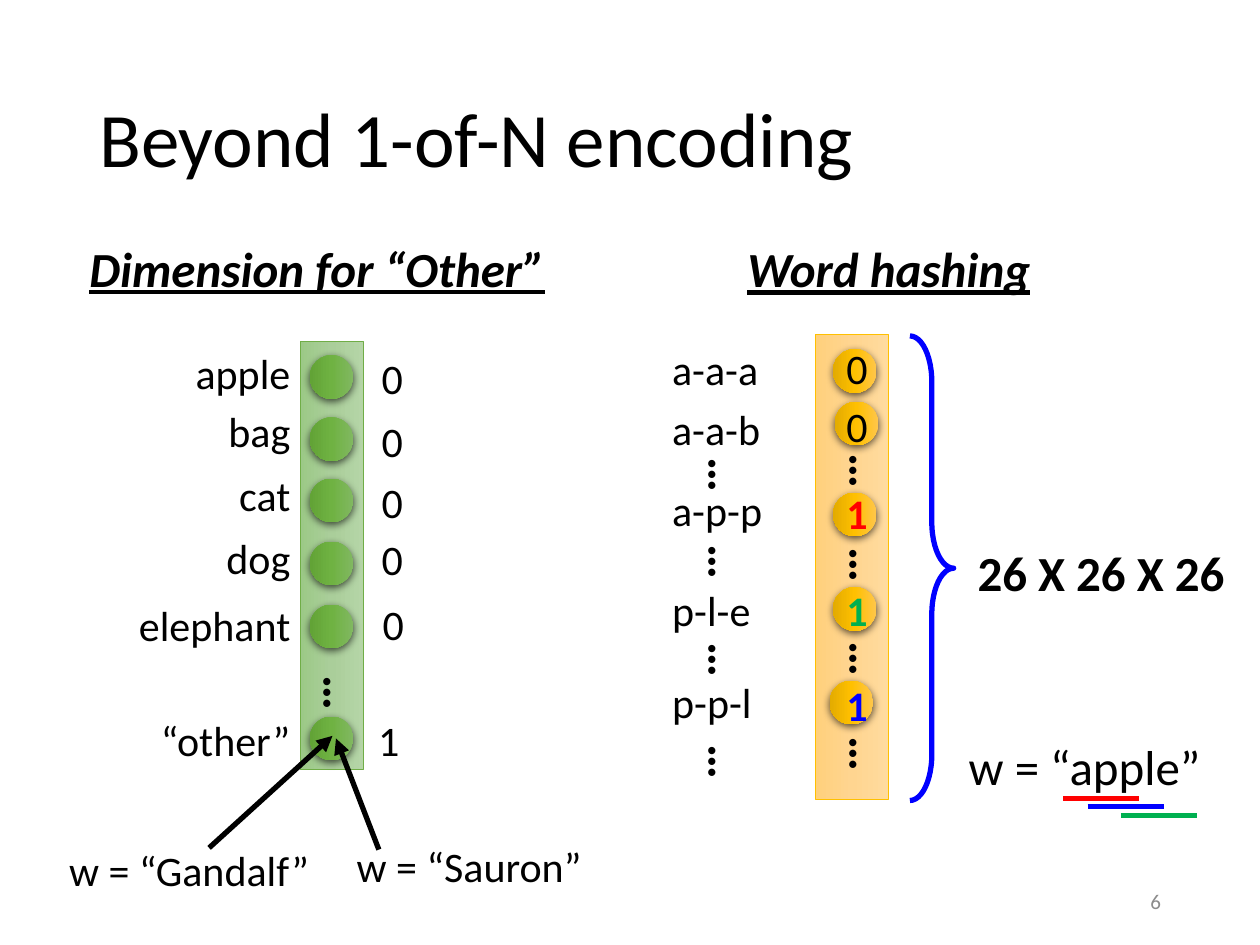
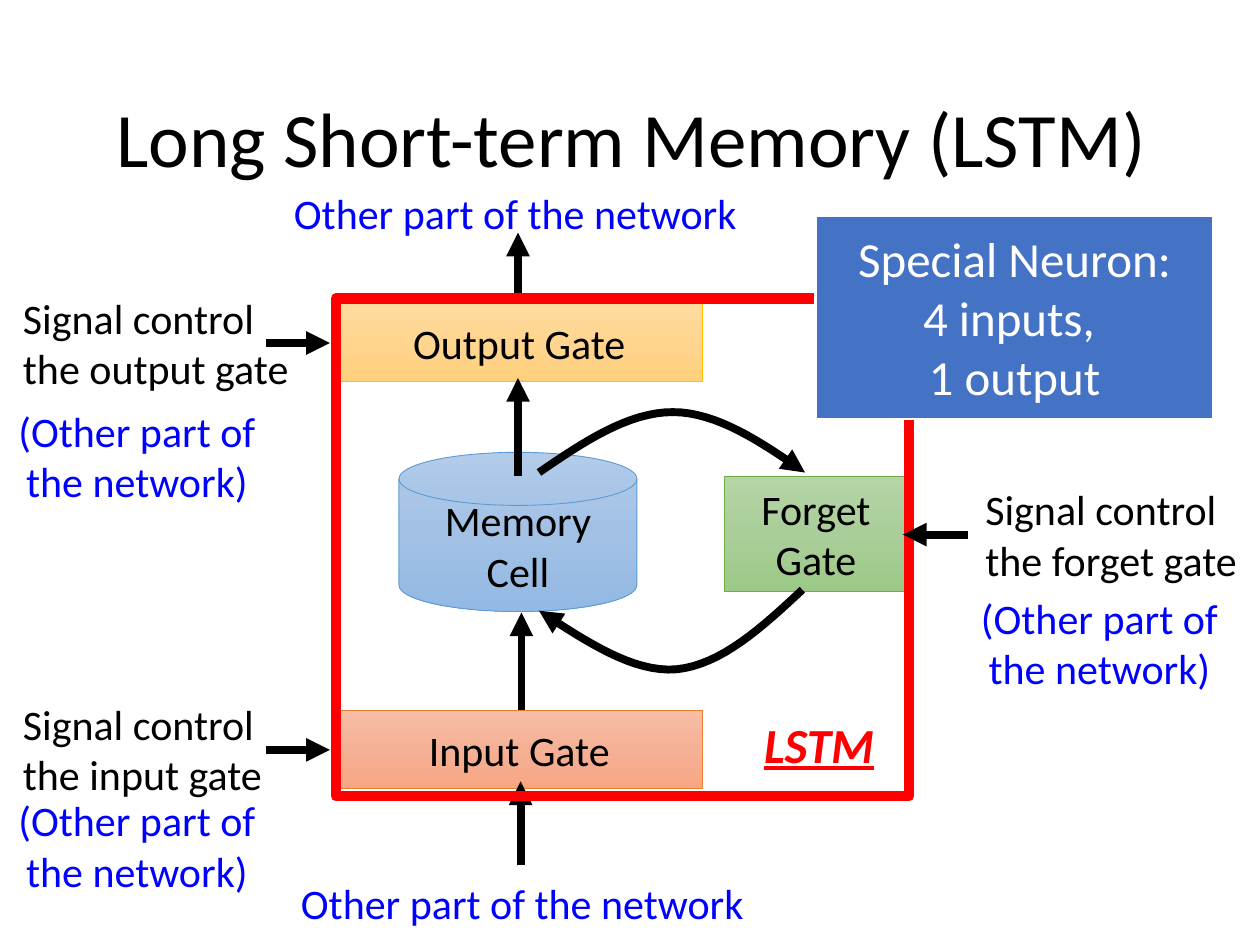
"""Builds two slides: word encodings beyond 1-of-N, and the LSTM cell."""
from copy import deepcopy

from lxml.etree import SubElement
from pptx import Presentation
from pptx.dml.color import RGBColor
from pptx.enum.shapes import MSO_CONNECTOR, MSO_SHAPE as SHAPE
from pptx.enum.text import MSO_ANCHOR, MSO_AUTO_SIZE, PP_ALIGN as ALIGN
from pptx.oxml.ns import qn
from pptx.util import Pt

FONT = "Calibri"
BLACK = RGBColor(0, 0, 0)
WHITE = RGBColor(255, 255, 255)
GRAY = RGBColor(0x8C, 0x8C, 0x8C)
RED = RGBColor(255, 0, 0)
BLUE = RGBColor(0, 0, 255)
GREEN = RGBColor(0, 0xB0, 0x50)
ACCENT_BLUE = RGBColor(0x44, 0x72, 0xC4)
ORANGE_LINE = RGBColor(0xED, 0x7D, 0x31)
GOLD_LINE = RGBColor(0xFF, 0xC0, 0)
LEAF_LINE = RGBColor(0x70, 0xAD, 0x47)
SKY_LINE = RGBColor(0x5B, 0x9B, 0xD5)


def shades(*codes):
    """Turn hex codes into a tuple of colours."""
    return tuple(RGBColor.from_string(code) for code in codes)


PALE_GOLD = shades("FFDB9E", "FFD590", "FFD07C")
GOLD = shades("FFC64B", "FFC000", "E3AB00")
PALE_LEAF = shades("B5D5A7", "AACE9A", "9CC987")
LEAF = shades("81B861", "6FB242", "62A336")
SKY = shades("B1CBE9", "A3C1E5", "93B9E4")
SALMON = shades("F7BDA5", "F5B196", "F8A582")

# Word, value, value left, then the tops of word, circle and value
WORD_ROWS = [
    ("apple", "0", 211, 195, 203, 198),
    ("bag", "0", 211, 228, 238.5, 234),
    ("cat", "0", 211, 265, 273.5, 268.5),
    ("dog", "0", 211, 301, 309.5, 301.5),
    ("elephant", "0", 211.5, 339, 345.5, 338.5),
    ("“other”", "1", 209, 404.5, 409.5, 404.5),
]
# Trigram, value, colour, circle left, then the tops of trigram, circle and value
TRIGRAM_ROWS = [
    ("a-a-a", "0", BLACK, 476, 193, 199.5, 192),
    ("a-a-b", "0", BLACK, 477, 227, 229.5, 225.5),
    ("a-p-p", "1", RED, 476, 273.5, 281.5, 275),
    ("p-l-e", "1", GREEN, 476, 330.5, 335.5, 330.5),
    ("p-p-l", "1", BLUE, 474, 383, 389, 384.5),
]
ELLIPSES = [(181.5, 373)]
ELLIPSES += [(401.5, top) for top in (248.5, 298, 354, 412.5)]
ELLIPSES += [(482, top) for top in (246, 300, 353.5, 407.5)]
OTHER_WORDS = [("w = “Sauron” ", 181.5, 476.5), ("w = “Gandalf” ", 21.5, 479)]
OTHER_ARROWS = [(119.5, 484.5, 190, 420.5), (216.5, 485.5, 192, 422)]
APPLE_MARKS = [(607.5, 456.5, RED), (621.5, 461, BLUE), (640.5, 466, GREEN)]

GATES = [
    (SHAPE.FLOWCHART_MAGNETIC_DISK, "Memory\nCell", (228, 258.5, 136, 91), SKY, SKY_LINE),
    (SHAPE.RECTANGLE, "Input Gate", (192, 406, 209.5, 44.5), SALMON, ORANGE_LINE),
    (SHAPE.RECTANGLE, "Output Gate", (192, 173.5, 209.5, 44.5), PALE_GOLD, GOLD_LINE),
    (SHAPE.RECTANGLE, "Forget Gate", (414, 272, 104.5, 66), PALE_LEAF, LEAF_LINE),
]
SIGNALS = [
    ("Signal control the input gate", 6, 395.5, 164),
    ("Signal control the output gate", 6, 163.5, 178),
    ("Signal control the forget gate", 556, 273, 164),
]
NETWORK = "Other part of the network"
NETWORK_LABELS = [
    (NETWORK, 156, 498, 285), (NETWORK, 152, 103.5, 285),
    (f"({NETWORK})", 1.5, 228, 153.5), (f"({NETWORK})", 1.5, 450.5, 153.5),
    (f"({NETWORK})", 551.5, 335, 153.5),
]
FLOW_ARROWS = [
    (152, 196, 188.5, 196), (152, 428.5, 188.5, 428.5),
    (297.5, 494.5, 297.5, 446.5), (298, 406, 298, 350),
    (296, 173.5, 296, 133), (296, 272, 296, 216),
]
FORGET_ARROW = (553, 305.5, 516, 305.5)
LOOPS = [
    [(308, 270), (333.5, 252.5), (359, 235.5), (384.5, 235.5)],
    [(384.5, 235.5), (409.5, 235.5), (435, 252.5), (460, 270)],
], [
    [(458.5, 337), (435.5, 358.5), (412, 380), (386.5, 382.5)],
    [(386.5, 382.5), (361.5, 384.5), (335, 366.5), (308, 349)],
]


def style_text(frame, text, size, color=BLACK, align=ALIGN.LEFT, bold=None, heading=False):
    """Fill a text frame and format every run; headings are bold, italic, underlined."""
    frame.text = text
    for paragraph in frame.paragraphs:
        paragraph.alignment = align
        for run in paragraph.runs:
            font = run.font
            font.name, font.size, font.color.rgb = FONT, Pt(size), color
            font.bold = bold or heading or None
            if heading:
                font.italic = font.underline = True


def add_text(slide, text, left, top, width, height=36, size=24, wrap=True, rotation=0, **style):
    """Add a text box that grows with its text."""
    box = slide.shapes.add_textbox(Pt(left), Pt(top), Pt(width), Pt(height))
    box.rotation = rotation
    box.text_frame.word_wrap = wrap
    box.text_frame.auto_size = MSO_AUTO_SIZE.SHAPE_TO_FIT_TEXT
    style_text(box.text_frame, text, size, **style)
    return box


def add_shape(slide, kind, frame, fill=None, line=None, width=0.5, rotation=0):
    """Add a preset shape with no fill, a plain fill or a three-colour gradient."""
    shape = slide.shapes.add_shape(kind, *map(Pt, frame))
    shape.shadow.inherit = False
    shape.rotation = rotation
    if fill is None:
        shape.fill.background()
    elif isinstance(fill, RGBColor):
        shape.fill.solid()
        shape.fill.fore_color.rgb = fill
    else:
        shape.fill.gradient()
        shape.fill.gradient_angle = 270
        stop_list = shape._element.spPr.find(qn("a:gradFill")).find(qn("a:gsLst"))
        stop_list.insert(1, deepcopy(stop_list[0]))
        for index, (stop, color) in enumerate(zip(shape.fill.gradient_stops, fill)):
            stop.position, stop.color.rgb = index / 2, color
    if line is None:
        shape.line.fill.background()
    else:
        shape.line.color.rgb, shape.line.width = line, Pt(width)
    return shape


def add_circle(slide, left, top, fill):
    """Add a vector element with a soft shadow below it."""
    circle = add_shape(slide, SHAPE.OVAL, (left, top, 25, 25), fill, rotation=90)
    effects = circle._element.spPr.find(qn("a:effectLst"))
    shadow = SubElement(effects, qn("a:outerShdw"), blurRad=str(Pt(4.5)), dist=str(Pt(1.5)),
                        dir="5400000", algn="ctr", rotWithShape="0")
    color = SubElement(shadow, qn("a:srgbClr"), val="000000")
    SubElement(color, qn("a:alpha"), val="63000")


def style_line(shape, color, width, arrow):
    """Format a line, with an arrowhead at its end if asked."""
    shape.line.color.rgb, shape.line.width = color, Pt(width)
    if arrow:
        SubElement(shape._element.spPr.find(qn("a:ln")), qn("a:tailEnd"), type="triangle")


def add_line(slide, ends, color=BLACK, width=4.5, arrow=True):
    """Add a straight connector without a shadow."""
    connector = slide.shapes.add_connector(MSO_CONNECTOR.STRAIGHT, *map(Pt, ends))
    style_line(connector, color, width, arrow)
    SubElement(connector._element.spPr, qn("a:effectLst"))


def curve_points(curve, steps=16):
    """Return points along a cubic curve, without its start."""
    points = []
    for step in range(1, steps + 1):
        t = step / steps
        weights = ((1 - t) ** 3, 3 * t * (1 - t) ** 2, 3 * t * t * (1 - t), t ** 3)
        points.append(tuple(Pt(sum(weight * point[axis] for weight, point in zip(weights, curve)))
                            for axis in (0, 1)))
    return points


def add_loop(slide, curves):
    """Add a curved arrow made of joined cubic curves."""
    builder = slide.shapes.build_freeform(*map(Pt, curves[0][0]))
    for curve in curves:
        builder.add_line_segments(curve_points(curve), close=False)
    loop = builder.convert_to_shape()
    loop.shadow.inherit = False
    loop.fill.background()
    style_line(loop, BLACK, 4.5, True)


def add_slide(presentation, title):
    """Add a title-only slide with the shared title style."""
    slide = presentation.slides.add_slide(presentation.slide_layouts[5])
    shape = slide.shapes.title
    shape.left, shape.top, shape.width, shape.height = map(Pt, (49.5, 29, 621, 104.5))
    shape.text_frame.vertical_anchor = MSO_ANCHOR.MIDDLE
    style_text(shape.text_frame, title, 44)
    shape.text_frame.paragraphs[0].line_spacing = 0.9
    return slide


def build_encoding(presentation):
    """Build the slide on the other dimension and word hashing."""
    slide = add_slide(presentation, "Beyond 1-of-N encoding")
    add_text(slide, "Dimension for “Other”", 44, 132.5, 288, 41, 28, wrap=False, heading=True)
    add_text(slide, "Word hashing", 420, 133, 176.5, 41, 28, wrap=False, heading=True)
    add_shape(slide, SHAPE.RECTANGLE, (67, 299.5, 245, 36), PALE_LEAF, LEAF_LINE, rotation=90)
    add_shape(slide, SHAPE.RECTANGLE, (354, 303, 265.5, 42), PALE_GOLD, GOLD_LINE, rotation=90)
    for word, value, value_left, word_top, circle_top, value_top in WORD_ROWS:
        add_circle(slide, 177, circle_top, LEAF)
        add_text(slide, word, 67, word_top, 106, align=ALIGN.RIGHT)
        add_text(slide, value, value_left, value_top, 24)
    for trigram, value, color, circle_left, trigram_top, circle_top, value_top in TRIGRAM_ROWS:
        add_circle(slide, circle_left, circle_top, GOLD)
        add_text(slide, trigram, 377, trigram_top, 79)
        add_text(slide, value, 475, value_top, 29.5, color=color, align=ALIGN.CENTER,
                 bold=value == "1")
    for left, top in ELLIPSES:
        add_text(slide, "…", left, top, 29, 41, 28, rotation=90, bold=True)
    brace = add_shape(slide, SHAPE.RIGHT_BRACE, (520, 192, 25, 265.5), line=BLUE, width=3)
    brace.adjustments[0] = 1.05
    add_text(slide, "26 X 26 X 26", 551.5, 306.5, 156.5, 41, 28, bold=True)
    add_text(slide, "w = “apple”", 546.5, 417.5, 150, 41, 28)
    for left, top, color in APPLE_MARKS:
        add_line(slide, (left, top, left + 43.5, top), color, 3, arrow=False)
    for text, left, top in OTHER_WORDS:
        add_text(slide, text, left, top, 178.5, align=ALIGN.CENTER)
    for ends in OTHER_ARROWS:
        add_line(slide, ends, width=3)
    number = add_text(slide, "6", 508.5, 500.5, 162, 29, 12, color=GRAY, align=ALIGN.RIGHT)
    number.text_frame.auto_size = MSO_AUTO_SIZE.NONE
    number.text_frame.vertical_anchor = MSO_ANCHOR.MIDDLE


def build_lstm(presentation):
    """Build the slide with the gates around the memory cell."""
    slide = add_slide(presentation, " Long Short-term Memory (LSTM)")
    for kind, text, frame, fill, line in GATES:
        gate = add_shape(slide, kind, frame, fill, line)
        style_text(gate.text_frame, text, 24, align=ALIGN.CENTER)
    for text, left, top, width in SIGNALS:
        add_text(slide, text, left, top, width, 65.5)
    for ends in FLOW_ARROWS:
        add_line(slide, ends)
    for curves in LOOPS:
        add_loop(slide, curves)
    for text, left, top, width in NETWORK_LABELS:
        height = 36 if text == NETWORK else 65.5
        add_text(slide, text, left, top, width, height, color=BLUE, align=ALIGN.CENTER)
    add_shape(slide, SHAPE.RECTANGLE, (192, 170.5, 327.5, 284.5), line=RED, width=6)
    add_text(slide, "LSTM", 422.5, 404.5, 91, 41, 28, color=RED, align=ALIGN.CENTER, heading=True)
    neuron = add_shape(slide, SHAPE.RECTANGLE, (466, 123, 227.5, 116.5), ACCENT_BLUE, WHITE, 1.5)
    style_text(neuron.text_frame, "Special Neuron:\n4 inputs, \n1 output", 28, WHITE, ALIGN.CENTER)
    add_line(slide, FORGET_ARROW)


def main():
    """Build and save the presentation."""
    presentation = Presentation()
    presentation.slide_width, presentation.slide_height = Pt(720), Pt(540)
    build_encoding(presentation)
    build_lstm(presentation)
    presentation.save("out.pptx")


if __name__ == "__main__":
    main()
